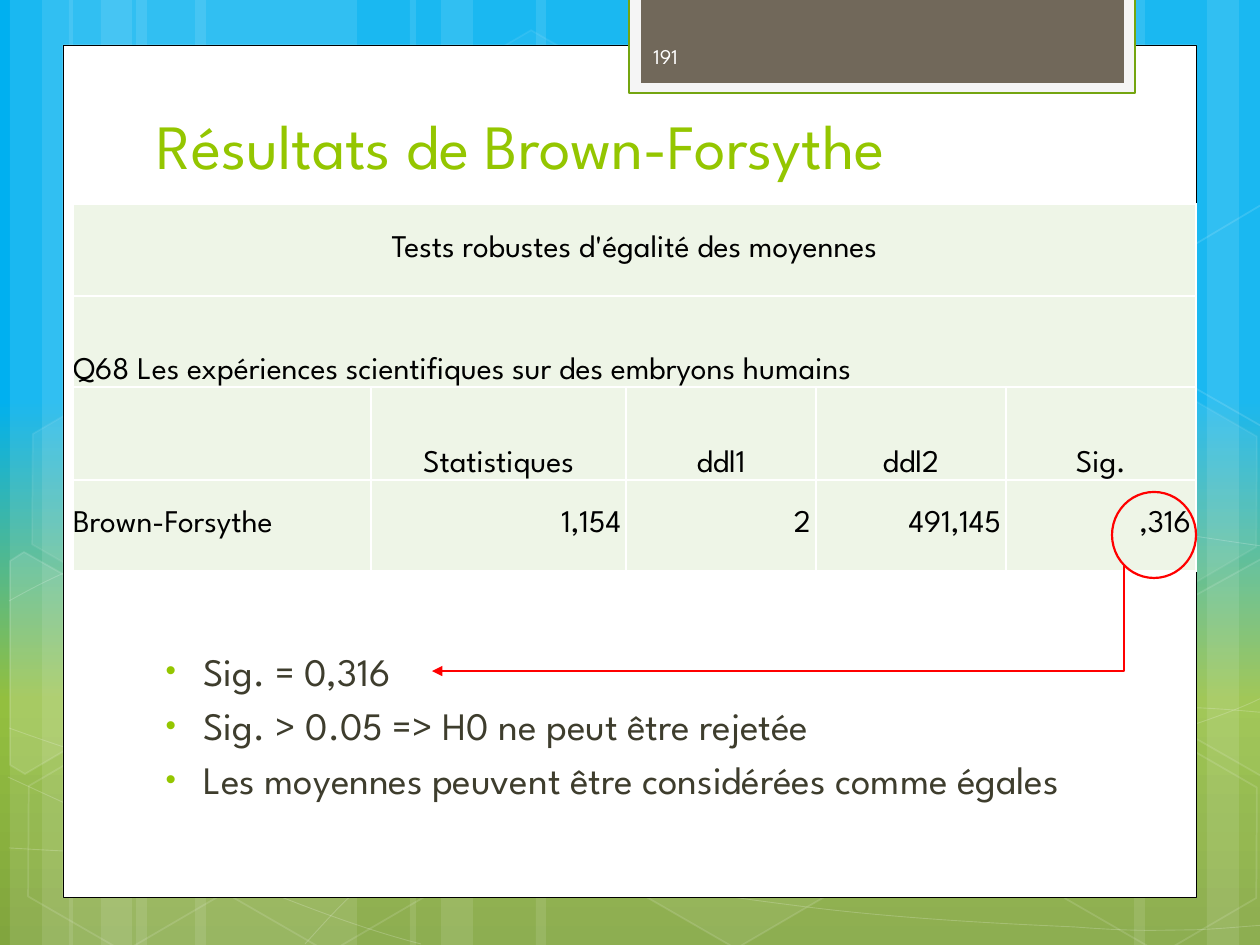
from pptx import Presentation
from pptx.dml.color import RGBColor
from pptx.enum.shapes import MSO_CONNECTOR, MSO_SHAPE
from pptx.enum.text import MSO_ANCHOR, MSO_AUTO_SIZE, PP_ALIGN
from pptx.oxml.ns import qn
from pptx.util import Pt
from lxml.etree import SubElement

PX = 914400 / 126
FONT = "League Spartan"
WHITE, RED, GREEN = "FFFFFF", "FF0000", "94C600"


def px(n):
    return round(n * PX)


def at(box, x, y, w, h):
    """Turn a box relative to its region into EMU."""
    return px(box[0] + x), px(box[1] + y), px(w), px(h)


def set_color(fmt, color):
    fmt.rgb = RGBColor.from_string(color)


def add_xml(parent, tag, **attrs):
    return SubElement(parent, qn(tag), attrs)


def paint(sp, fill=None, line=None, width=1, fill_alpha=100, line_alpha=100):
    sp.shadow.inherit = False
    for fmt, color, alpha in ((sp.fill, fill, fill_alpha), (sp.line.fill, line, line_alpha)):
        if not color or not alpha:
            fmt.background()
            continue
        fmt.solid()
        set_color(fmt.fore_color, color)
        if alpha < 100:
            clr = fmt._xPr.find(qn("a:solidFill"))[0]
            add_xml(clr, "a:alpha", val=str(alpha * 1000))
    if line:
        sp.line.width = Pt(width)


def set_font(p, size, color):
    p.font.name, p.font.size, p.font.bold = FONT, Pt(size), False
    set_color(p.font.color, color)


def add_outline(s, box, points, close):
    (x, y), *rest = [(box[0] + a, box[1] + b) for a, b in points]
    builder = s.shapes.build_freeform(x, y, scale=PX)
    builder.add_line_segments(rest, close=close)
    return builder.convert_to_shape()


def add_curve(s, box, controls):
    """Draw a chain of cubic curves: each three points after the first make one."""
    sp = add_outline(s, box, controls, False)
    path = next(sp._element.iter(qn("a:path")))
    segments = path.findall(qn("a:lnTo"))
    for i in range(0, len(segments), 3):
        bez = add_xml(path, "a:cubicBezTo")
        for segment in segments[i:i + 3]:
            bez.append(segment[0])
            path.remove(segment)
    return sp


BARS = [(136, 221), (10, 63), (42, 105), (195, 221), (69, 63), (101, 105),
        (924, 221), (1207, 63), (1134, 105), (536, 388), (410, 63), (441, 105)]
CURVES = [
    [(9, 848), (77, 852), (145, 856), (239, 854), (334, 853), (451, 851), (577, 838),
     (703, 825), (882, 801), (998, 777), (1113, 753), (1231, 716), (1269, 694)],
    [(9, 601), (45, 581), (81, 562), (152, 543), (224, 524), (326, 496), (437, 488),
     (549, 479), (685, 478), (824, 488), (963, 498), (1193, 537), (1269, 547)],
    [(8, 777), (160, 847), (311, 916), (421, 944)],
    [(9, 728), (48, 742), (88, 756), (161, 776), (234, 795), (344, 827), (450, 848),
     (554, 869), (687, 892), (791, 905), (896, 919), (1008, 924), (1075, 927),
     (1140, 932), (1158, 930), (1191, 930), (1223, 929), (1246, 926), (1269, 925)],
    [(305, 944), (328, 919), (350, 893), (381, 871), (412, 848), (454, 823), (489, 805),
     (524, 789), (546, 780), (592, 767), (638, 755), (722, 737), (766, 728),
     (811, 719), (818, 719), (857, 717), (896, 713), (958, 709), (1000, 708),
     (1045, 707), (1116, 708), (1116, 708), (1144, 708), (1173, 708), (1201, 708),
     (1223, 709), (1245, 711), (1256, 712), (1268, 713), (1264, 712), (1268, 713)],
]
# Left, top, fill opacity, line opacity
HEXAGONS = [(421, 45, 4, 8), (626, 742, 6, 12), (14, 745, 0, 12), (18, 393, 7, 8),
            (219, 746, 0, 12), (949, 571, 10, 12), (1051, 747, 0, 12), (1051, 396, 7, 8)]
CUT_HEXAGONS = [
    ([(10, 561), (24, 552), (121, 607), (120, 718), (25, 774), (10, 765)], 10),
    ([(1167, 611), (1261, 559), (1271, 562), (1271, 772), (1263, 777), (1167, 722)], 4),
    ([(1167, 261), (1261, 205), (1273, 212), (1271, 422), (1263, 427), (1167, 372)], 0),
]


def add_backdrop(s, box):
    # Light bars, curves and hexagons
    for x, w in BARS:
        sp = s.shapes.add_shape(MSO_SHAPE.RECTANGLE, *at(box, x, 0, w, box[3]))
        paint(sp, WHITE, fill_alpha=10)
    for controls in CURVES:
        paint(add_curve(s, box, controls), line=WHITE, width=0.5, line_alpha=20)
    for x, y, fill_alpha, line_alpha in HEXAGONS:
        sp = s.shapes.add_shape(MSO_SHAPE.HEXAGON, *at(box, x, y, 220, 192))
        sp.adjustments[0] = 0.285
        sp.rotation = 30
        paint(sp, WHITE, WHITE, 1, fill_alpha, line_alpha)
    for points, fill_alpha in CUT_HEXAGONS:
        paint(add_outline(s, box, points, True), WHITE, WHITE, 1, fill_alpha, 12)


def add_panel(s, box):
    # White sheet, then the tab that hangs from the top edge
    for rect, fill, line, width in (((0, 0, box[2], box[3]), WHITE, "000000", 0.5),
                                    ((566, -48, 506, 96), "F5F5F5", "74A510", 1.25),
                                    ((578, -48, 483, 86), "71685A", None, 0)):
        paint(s.shapes.add_shape(MSO_SHAPE.RECTANGLE, *at(box, *rect)), fill, line, width)


def move_to_master(s, master):
    """Make the decoration part of the master, behind its placeholders."""
    fill = master.background.fill
    fill.gradient()
    fill.gradient_angle = 270
    stops = next(master._element.iter(qn("a:gsLst")))
    stops.clear()
    for pos, color in ((0, "00B0F0"), (42, "00B0F0"), (74, "93BF3F"), (100, "81A53E")):
        add_xml(add_xml(stops, "a:gs", pos=str(pos * 1000)), "a:srgbClr", val=color)
    decoration = [sp for sp in s.shapes if not sp.is_placeholder]
    for i, sp in enumerate(decoration):
        master.shapes._spTree.insert(2 + i, sp._element)


def add_page_number(s, box):
    tf = s.shapes.add_textbox(*at(box, 0, 0, *box[2:])).text_frame
    tf.word_wrap, tf.vertical_anchor = True, MSO_ANCHOR.MIDDLE
    tf.text = "191"
    set_font(tf.paragraphs[0], 12, "FEFEFE")


def fill_placeholder(ph, box, lines, anchor):
    ph.left, ph.top, ph.width, ph.height = at(box, 0, 0, *box[2:])
    tf = ph.text_frame
    tf.text = "\n".join(lines)
    tf.word_wrap, tf.auto_size, tf.vertical_anchor = True, MSO_AUTO_SIZE.NONE, anchor
    for p in tf.paragraphs:
        p.alignment = PP_ALIGN.LEFT
    return tf.paragraphs


def add_title(s, box):
    lines = ["Résultats de Brown-Forsythe"]
    for p in fill_placeholder(s.shapes.title, box, lines, MSO_ANCHOR.BOTTOM):
        set_font(p, 36, GREEN)


def add_conclusions(s, box):
    lines = ["Sig. = 0,316", "Sig. > 0.05 => H0 ne peut être rejetée",
             "Les moyennes peuvent être considérées comme égales"]
    paragraphs = fill_placeholder(s.placeholders[1], box, lines, MSO_ANCHOR.TOP)
    for i, p in enumerate(paragraphs):
        pPr = p._p.get_or_add_pPr()
        pPr.set("marL", str(px(48)))
        pPr.set("indent", str(px(-38)))
        add_xml(add_xml(pPr, "a:buClr"), "a:srgbClr", val=GREEN)
        add_xml(pPr, "a:buSzPct", val="76000")
        add_xml(pPr, "a:buChar", char="•")
        p.space_before = Pt(4.4 if i else 0)
        set_font(p, 22.2, "3E3D2D")


def add_results(s, box):
    rows = [["Tests robustes d'égalité des moyennes"],
            ["Q68 Les expériences scientifiques sur des embryons humains"],
            ["", "Statistiques", "ddl1", "ddl2", "Sig."],
            ["Brown-Forsythe", "1,154", "2", "491,145", ",316"]]
    anchors = [MSO_ANCHOR.MIDDLE, MSO_ANCHOR.BOTTOM, MSO_ANCHOR.BOTTOM, MSO_ANCHOR.MIDDLE]
    aligns = [PP_ALIGN.CENTER, PP_ALIGN.LEFT, PP_ALIGN.CENTER, PP_ALIGN.RIGHT]
    table = s.shapes.add_table(4, 5, *at(box, 0, 0, *box[2:])).table
    table.first_row = table.horz_banding = False
    for col, w in zip(table.columns, (298, 255, 190, 190, 190)):
        col.width = px(w)
    for row, h in zip(table.rows, (92, 91, 93, 91)):
        row.height = px(h)
    for r, texts in enumerate(rows):
        if len(texts) == 1:
            table.cell(r, 0).merge(table.cell(r, 4))
        for c in range(5):
            cell = table.cell(r, c)
            align = PP_ALIGN.LEFT if r == 3 and c == 0 else aligns[r]
            side = 0 if align == PP_ALIGN.LEFT else px(5)
            cell.margin_left = cell.margin_right = side
            cell.margin_top = cell.margin_bottom = 0
            cell.vertical_anchor = anchors[r]
            for edge in ("a:lnL", "a:lnR", "a:lnT", "a:lnB"):
                ln = add_xml(cell._tc.get_or_add_tcPr(), edge, w=str(Pt(1)))
                add_xml(add_xml(ln, "a:solidFill"), "a:srgbClr", val=WHITE)
            cell.fill.solid()
            set_color(cell.fill.fore_color, "EEF5E7")
            if c < len(texts) and texts[c]:
                cell.text = texts[c]
                p = cell.text_frame.paragraphs[0]
                p.alignment, p.line_spacing = align, Pt(16)
                set_font(p, 18, "000000")


def add_callout(s, box):
    # Circle around the significance
    paint(s.shapes.add_shape(MSO_SHAPE.OVAL, *at(box, 680, 0, 84, 86)), line=RED, width=1.25)
    # Arrow that goes down, then left: a one-bend connector turned a quarter
    run, drop = 692, 105
    x, y, w, h = at(box, (run - drop) / 2, 74 + (drop - run) / 2, drop, run)
    c = s.shapes.add_connector(MSO_CONNECTOR.ELBOW, x, y, x + w, y + h)
    spPr = c._element.spPr
    spPr.find(qn("a:xfrm")).set("rot", "5400000")
    spPr.find(qn("a:prstGeom")).set("prst", "bentConnector2")
    set_color(c.line.color, RED)
    c.line.width = Pt(0.75)
    add_xml(c.line._get_or_add_ln(), "a:tailEnd", type="triangle")
    add_xml(spPr, "a:effectLst")


def main():
    prs = Presentation()
    prs.slide_width, prs.slide_height = px(1260), px(945)
    s = prs.slides.add_slide(prs.slide_layouts[1])
    add_backdrop(s, (0, 0, 1260, 945))
    add_panel(s, (63, 45, 1134, 853))
    move_to_master(s, prs.slide_master)
    add_title(s, (144, 105, 968, 83))
    add_conclusions(s, (143, 641, 1012, 208))
    add_page_number(s, (641, 31, 184, 50))
    add_results(s, (73, 204, 1123, 367))
    add_callout(s, (432, 492, 764, 179))
    prs.save("out.pptx")


if __name__ == "__main__":
    main()
